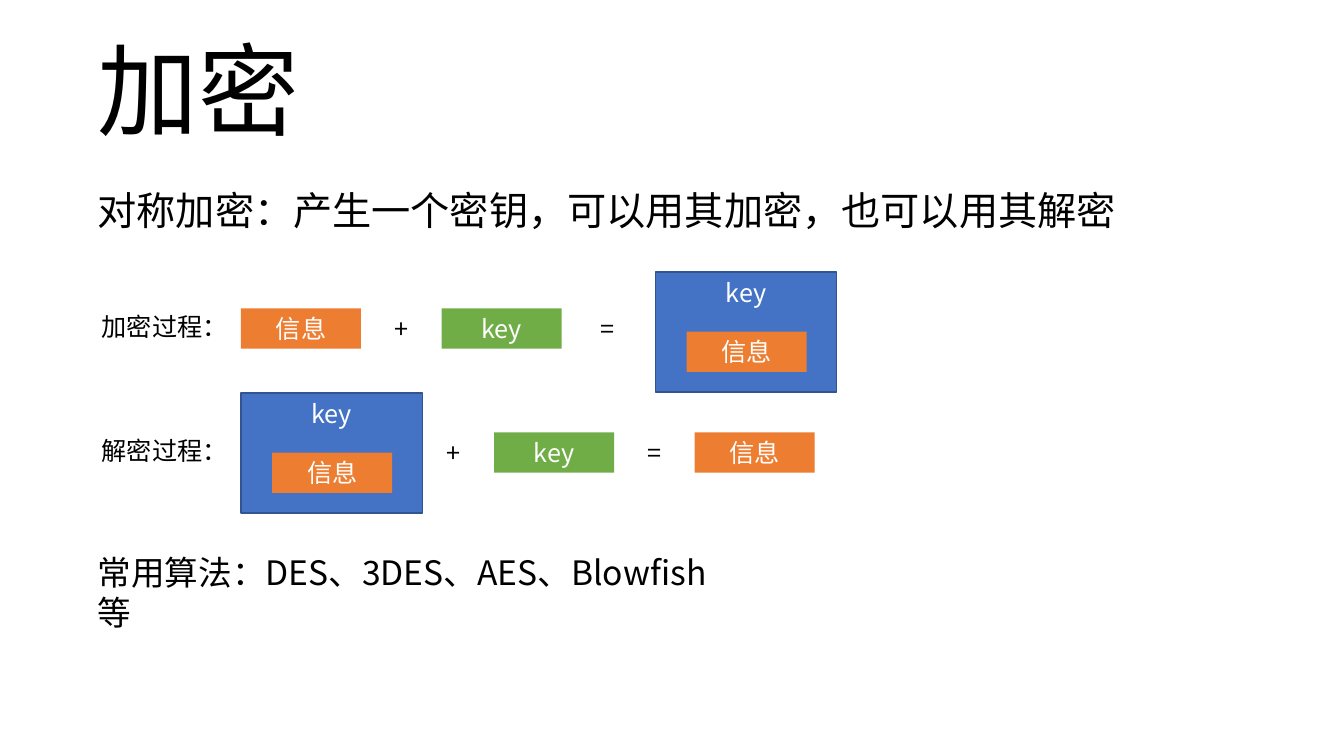
from pptx import Presentation
from pptx import util as u
from pptx.dml import color
from pptx.enum import shapes, text
from pptx.oxml import ns

FONT = "Noto Sans CJK SC"
BLACK, WHITE = "000000", "FFFFFF"
BLUE, NAVY, ORANGE, GREEN = "4472C4", "325491", "ED7D31", "70AD47"
CHIP_W, SIGN_W, ROW_H = 1.19, 0.44, 0.4
SAFE_W, SAFE_H = 1.8, 1.19
LABEL_W, LABEL_TO_PARTS = 1.34, 1.48


def rgb(value):
    return color.RGBColor.from_string(value)


def write(holder, words, size=18, ink=BLACK, align=text.PP_ALIGN.LEFT,
          anchor=text.MSO_ANCHOR.MIDDLE, wrap=True, leading=None):
    frame = holder.text_frame
    frame.auto_size = text.MSO_AUTO_SIZE.NONE
    frame.word_wrap = wrap
    frame.vertical_anchor = anchor
    paragraph = frame.paragraphs[0]
    paragraph.alignment = align
    paragraph.space_before = u.Pt(0)
    paragraph.line_spacing = u.Pt(leading) if leading else 1.0
    run = paragraph.add_run()
    run.text = words
    run.font.size = u.Pt(size)
    run.font.name = FONT
    run.font.color.rgb = rgb(ink)
    properties = run.font._element
    east_asian = properties.makeelement(ns.qn("a:ea"), {"typeface": FONT})
    properties.find(ns.qn("a:latin")).addnext(east_asian)


def caption(parent, box, words, **style):
    write(parent.add_textbox(*map(u.Inches, box)), words, **style)


def block(parent, box, words, fill, line=None, **style):
    shape = parent.add_shape(shapes.MSO_SHAPE.RECTANGLE, *map(u.Inches, box))
    shape.shadow.inherit = False
    shape.fill.solid()
    shape.fill.fore_color.rgb = rgb(fill)
    if line:
        shape.line.color.rgb = rgb(line)
        shape.line.width = u.Pt(1)
    else:
        shape.line.fill.background()
    write(shape, words, ink=WHITE, align=text.PP_ALIGN.CENTER, **style)


def encrypted_message(parent, left, top):
    group = parent.add_group_shape().shapes
    block(group, (left, top, SAFE_W, SAFE_H), "key", BLUE, NAVY,
          anchor=text.MSO_ANCHOR.TOP, leading=22)
    block(group, (left + 0.31, top + 0.59, CHIP_W, ROW_H), "信息", ORANGE)


def process(parent, left, top, row_drop, label, parts, gaps):
    row = top + row_drop
    caption(parent, (left, row - 0.02, LABEL_W, ROW_H), label, wrap=False)
    x = left + LABEL_TO_PARTS
    for part, gap in zip(parts, gaps):
        if part == "encrypted":
            encrypted_message(parent, x, top)
            width = SAFE_W
        elif part in "+=":
            caption(parent, (x, row, SIGN_W, ROW_H), part,
                    align=text.PP_ALIGN.CENTER)
            width = SIGN_W
        else:
            fill = GREEN if part == "key" else ORANGE
            block(parent, (x, row, CHIP_W, ROW_H), part, fill)
            width = CHIP_W
        x += width + gap


def heading(slide, box):
    title = slide.shapes.title
    title.left, title.top, title.width, title.height = map(u.Inches, box)
    write(title, "加密", size=72)


def symmetric_encryption_slide(deck):
    slide = deck.slides.add_slide(deck.slide_layouts[5])
    parent = slide.shapes
    heading(slide, (0.87, 0.22, 2.23, 1.31))
    caption(parent, (0.87, 1.8, 10.54, 0.57),
            "对称加密：产生一个密钥，可以用其加密，也可以用其解密", size=28)
    process(parent, 0.91, 2.7, 0.36, "加密过程：",
            ("信息", "+", "key", "=", "encrypted"),
            (0.18, 0.18, 0.24, 0.25, 0))
    process(parent, 0.91, 3.9, 0.39, "解密过程：",
            ("encrypted", "+", "key", "=", "信息"),
            (0.09, 0.18, 0.18, 0.18, 0))
    caption(parent, (0.87, 5.42, 6.56, 0.5),
            "常用算法：DES、3DES、AES、Blowfish等", size=24,
            anchor=text.MSO_ANCHOR.TOP, leading=29)


deck = Presentation()
deck.slide_width, deck.slide_height = u.Inches(13.33), u.Inches(7.5)
symmetric_encryption_slide(deck)
deck.save("out.pptx")
